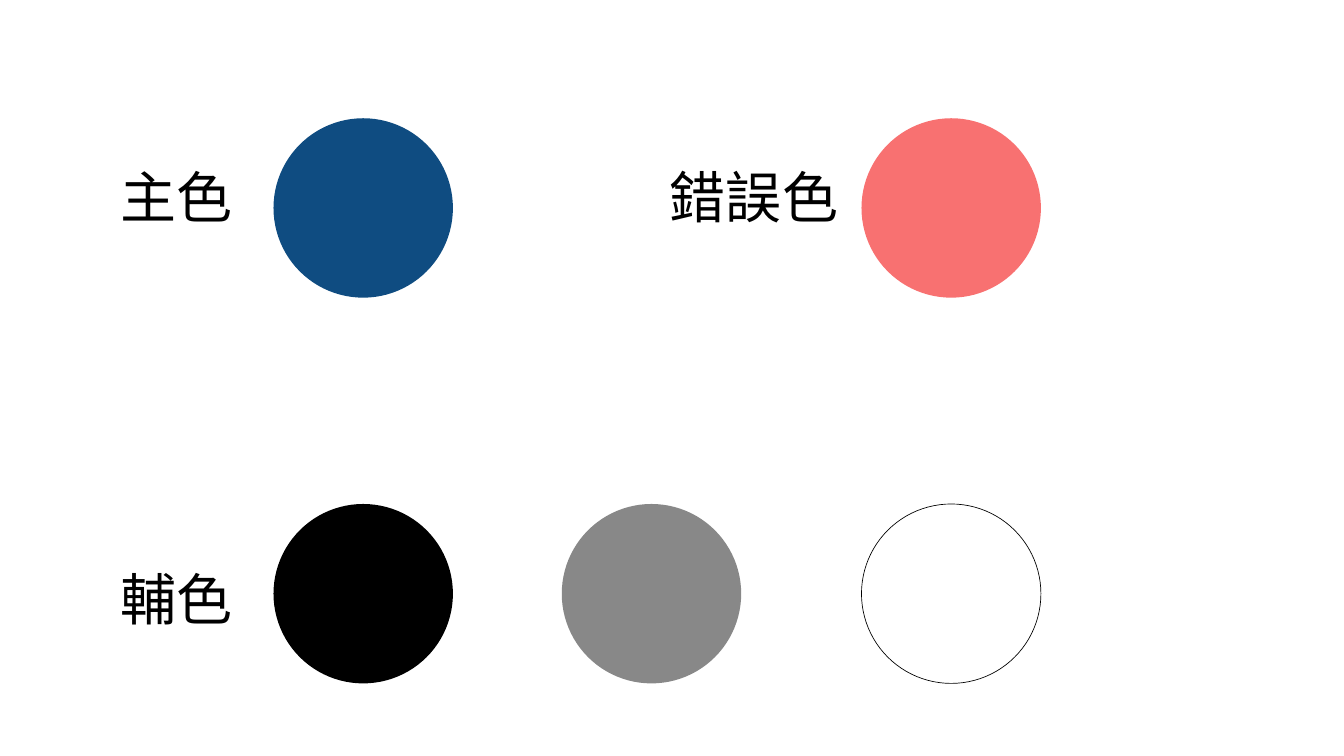
from pptx import Presentation
from pptx.dml.color import RGBColor
from pptx.enum.shapes import MSO_SHAPE
from pptx.enum.text import MSO_ANCHOR, MSO_AUTO_SIZE, PP_ALIGN
from pptx.util import Inches, Pt

BLUE = RGBColor(0x0F, 0x4C, 0x81)
CORAL = RGBColor(0xF8, 0x71, 0x71)
BLACK = RGBColor(0x00, 0x00, 0x00)
GRAY = RGBColor(0x88, 0x88, 0x88)
WHITE = RGBColor(0xFF, 0xFF, 0xFF)

# The grid has 20 columns and 11.25 rows of one inch each
COLUMNS, ROWS = 20, 11.25
SWATCH_COLUMNS = (4.07, 8.36, 12.82)
MAIN_ROW, SUPPORT_ROW = 1.76, 7.5
LEFT_LABEL, RIGHT_LABEL = 1.79, 9.97


class PalettePage:
    """Holds the style and the current slide."""

    font_name = "Comic Neue"
    font_size = Pt(60)
    diameter = 2.67
    label_size = (5.75, 0.91)

    def __init__(self, deck):
        self.page = deck.slides.add_slide(deck.slide_layouts[6])
        background = self.page.background.fill
        background.solid()
        background.fore_color.rgb = WHITE

    def swatch(self, column, row, color, outline=None):
        area = [Inches(n) for n in (column, row, self.diameter, self.diameter)]
        circle = self.page.shapes.add_shape(MSO_SHAPE.OVAL, *area)
        circle.shadow.inherit = False
        circle.fill.solid()
        circle.fill.fore_color.rgb = color
        if outline is None:
            circle.line.fill.background()
        else:
            circle.line.color.rgb = outline
            circle.line.width = Pt(0.75)

    def label(self, column, row, text):
        area = [Inches(n) for n in (column, row, *self.label_size)]
        frame = self.page.shapes.add_textbox(*area).text_frame
        frame.margin_left = frame.margin_right = 0
        frame.margin_top = frame.margin_bottom = 0
        frame.word_wrap = True
        frame.auto_size = MSO_AUTO_SIZE.SHAPE_TO_FIT_TEXT
        frame.vertical_anchor = MSO_ANCHOR.TOP
        para = frame.paragraphs[0]
        para.text = text
        para.alignment = PP_ALIGN.LEFT
        para.line_spacing = 0.9
        para.font.name = self.font_name
        para.font.size = self.font_size
        para.font.color.rgb = BLACK


def main():
    deck = Presentation()
    deck.slide_width, deck.slide_height = Inches(COLUMNS), Inches(ROWS)
    palette = PalettePage(deck)
    first, middle, last = SWATCH_COLUMNS

    # Main and error colours
    palette.swatch(first, MAIN_ROW, BLUE)
    palette.swatch(last, MAIN_ROW, CORAL)

    # Supporting colours
    palette.swatch(first, SUPPORT_ROW, BLACK)
    palette.swatch(middle, SUPPORT_ROW, GRAY)
    palette.swatch(last, SUPPORT_ROW, WHITE, outline=BLACK)

    # Labels, on top of the swatches
    palette.label(LEFT_LABEL, 2.53, "主色")
    palette.label(LEFT_LABEL, 8.52, "輔色")
    palette.label(RIGHT_LABEL, 2.53, "錯誤色")

    deck.save("out.pptx")


if __name__ == "__main__":
    main()
